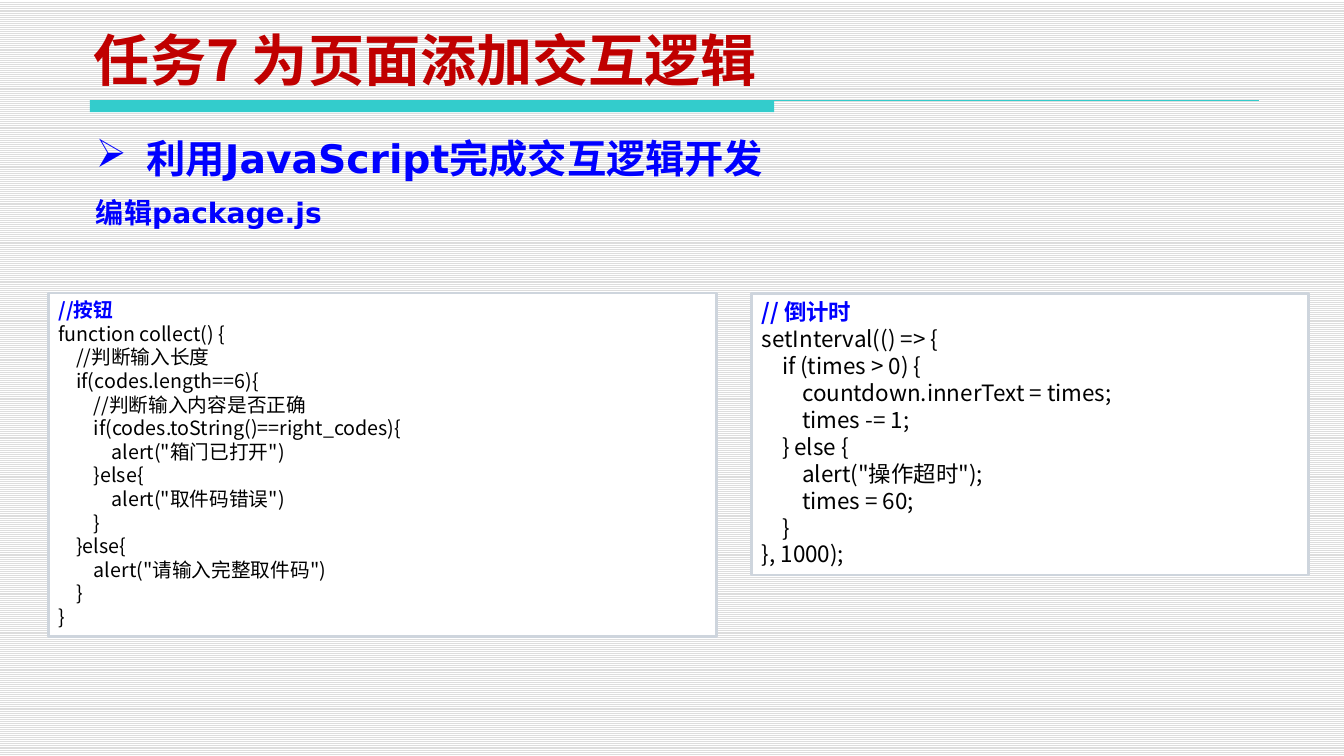
from pptx import Presentation
from pptx import util as u
from pptx.dml import color, fill
from pptx.enum import dml, shapes, text
from lxml import etree
from pptx.oxml import ns

CJK = "Noto Sans CJK SC"
BLUE = "0000FF"
TEAL = "33CCCC"


def rgb(value):
    return color.RGBColor.from_string(value)


def style(para, size, font, colour, bold):
    for span in para.runs:
        span.font.size = u.Pt(size)
        span.font.name = font
        span.font.bold = bold
        span.font.color.rgb = rgb(colour)
        east_asian = etree.SubElement(span.font._element, ns.qn("a:ea"))
        east_asian.set("typeface", CJK)


deck = Presentation()
deck.slide_width = u.Inches(13.3)
deck.slide_height = u.Inches(7.48)
page = deck.slides.add_slide(deck.slide_layouts[5])

backdrop = page.background.fill
backdrop.patterned()
backdrop.pattern = dml.MSO_PATTERN.LIGHT_HORIZONTAL
backdrop.fore_color.rgb = rgb("DDDDDD")
backdrop.back_color.rgb = rgb("FFFFFF")

bar = page.shapes.add_shape(
    shapes.MSO_SHAPE.RECTANGLE, u.Inches(0.89), u.Inches(0.99), u.Inches(6.77), u.Inches(0.12))
bar.shadow.inherit = False
bar.fill.solid()
bar.fill.fore_color.rgb = rgb(TEAL)
bar.line.fill.background()

rule = page.shapes.add_connector(
    shapes.MSO_CONNECTOR.STRAIGHT, u.Inches(0.89), u.Inches(0.99), u.Inches(12.46), u.Inches(0.99))
rule.line.color.rgb = rgb(TEAL)
rule.line.width = u.Pt(0.75)
etree.SubElement(rule._element.spPr, ns.qn("a:effectLst"))

title = page.shapes.title
title.left, title.top = u.Inches(0.82), u.Inches(0.28)
title.width, title.height = u.Inches(9.69), u.Inches(0.69)
title.text_frame.text = "任务7 为页面添加交互逻辑"
title.text_frame.auto_size = text.MSO_AUTO_SIZE.NONE
title.text_frame.vertical_anchor = text.MSO_ANCHOR.BOTTOM
title.text_frame.margin_left = title.text_frame.margin_right = u.Inches(0.11)
title.text_frame.paragraphs[0].alignment = text.PP_ALIGN.LEFT
style(title.text_frame.paragraphs[0], 40, CJK, "C00000", True)

intro = page.shapes.add_textbox(u.Inches(0.84), u.Inches(1.28), u.Inches(11.64), u.Inches(1.08))
intro.text_frame.word_wrap = True
intro.text_frame.margin_left = intro.text_frame.margin_right = u.Inches(0.11)
intro.text_frame.text = "利用JavaScript完成交互逻辑开发\n编辑package.js"
heading, step = intro.text_frame.paragraphs
for para, size in ((heading, 28), (step, 20)):
    para.alignment = text.PP_ALIGN.JUSTIFY
    style(para, size, "DejaVu Sans", BLUE, True)
step.space_before = u.Pt(10)
layout = heading._p.get_or_add_pPr()
layout.set("marL", str(u.Inches(0.5)))
layout.set("indent", str(u.Inches(-0.5)))
etree.SubElement(layout, ns.qn("a:buChar")).set("char", "➢")

countdown_code = [
    (0, "// 倒计时"),
    (0, "setInterval(() => {"),
    (1, "if (times > 0) {"),
    (2, "countdown.innerText = times;"),
    (2, "times -= 1;"),
    (1, "} else {"),
    (2, 'alert("操作超时");'),
    (2, "times = 60;"),
    (1, "}"),
    (0, "}, 1000);"),
]
button_code = [
    (0, "//按钮"),
    (0, "function collect() {"),
    (1, "//判断输入长度"),
    (1, "if(codes.length==6){"),
    (2, "//判断输入内容是否正确"),
    (2, "if(codes.toString()==right_codes){"),
    (3, 'alert("箱门已打开")'),
    (2, "}else{"),
    (3, 'alert("取件码错误")'),
    (2, "}"),
    (1, "}else{"),
    (2, 'alert("请输入完整取件码")'),
    (1, "}"),
    (0, "}"),
]

for left, width, height, size, code in (
    (7.44, 5.51, 2.79, 16, countdown_code),
    (0.48, 6.61, 3.4, 14, button_code),
):
    box = page.shapes.add_shape(
        shapes.MSO_SHAPE.RECTANGLE, u.Inches(left), u.Inches(2.9), u.Inches(width), u.Inches(height))
    box.shadow.inherit = False
    box.fill.solid()
    box.fill.fore_color.rgb = rgb("FFFFFF")
    box.line.color.rgb = rgb("CED5DD")
    box.line.width = u.Pt(2)
    frame = box.text_frame
    frame.word_wrap = True
    frame.vertical_anchor = text.MSO_ANCHOR.TOP
    frame.text = "\n".join(line for level, line in code)
    for index, (para, (level, line)) in enumerate(zip(frame.paragraphs, code)):
        para.alignment = text.PP_ALIGN.LEFT
        para.line_spacing = u.Pt(size * 1.2)
        para._p.get_or_add_pPr().set("marL", str(u.Inches(level * size / 80)))
        style(para, size, CJK, "000000" if index else BLUE, index == 0)

deck.save("out.pptx")
